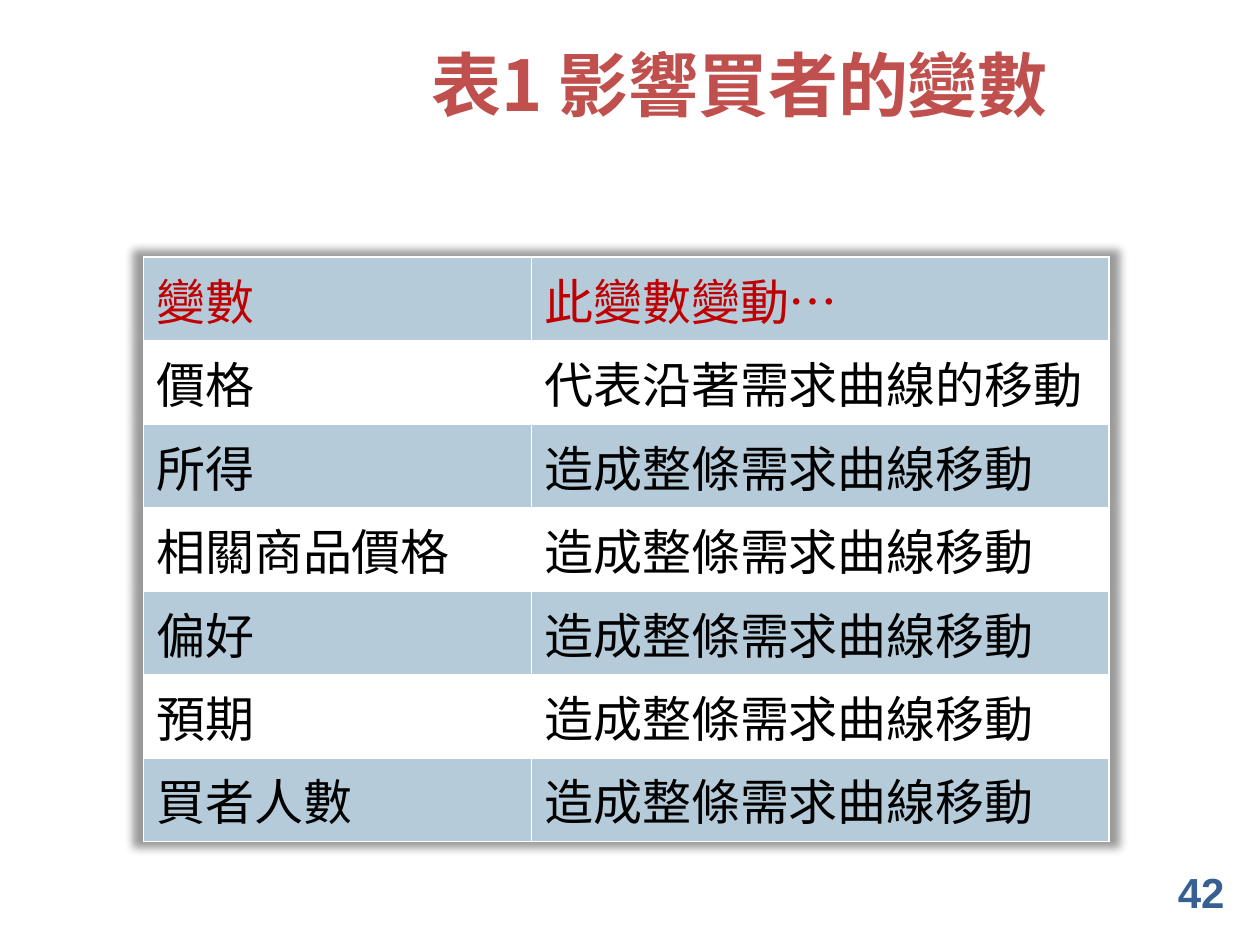
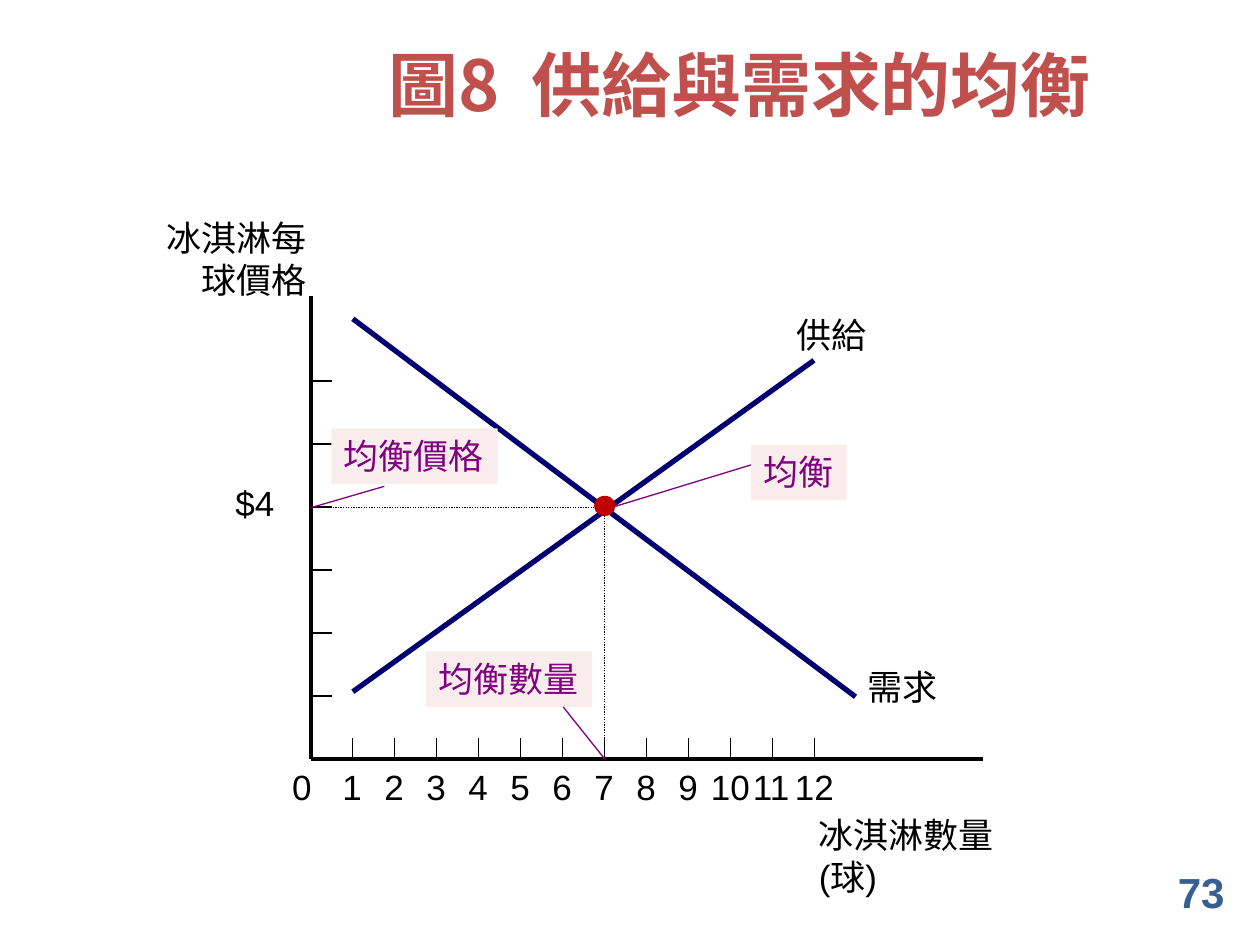
"""Build two slides on demand: a table of buyer variables and a supply-demand diagram."""
from lxml import etree
from pptx import Presentation
from pptx.dml.color import RGBColor
from pptx.enum.dml import MSO_LINE
from pptx.enum.shapes import MSO_CONNECTOR, MSO_SHAPE
from pptx.enum.text import MSO_ANCHOR, PP_ALIGN
from pptx.oxml import parse_xml
from pptx.oxml.ns import nsdecls, qn
from pptx.util import Inches, Pt

STRAIGHT = MSO_CONNECTOR.STRAIGHT
RECT, OVAL = MSO_SHAPE.RECTANGLE, MSO_SHAPE.OVAL
LEFT, CENTER, RIGHT = PP_ALIGN.LEFT, PP_ALIGN.CENTER, PP_ALIGN.RIGHT
TOP, MIDDLE = MSO_ANCHOR.TOP, MSO_ANCHOR.MIDDLE
DOTTED = MSO_LINE.ROUND_DOT

WHITE = RGBColor(0xFF, 0xFF, 0xFF)
BLACK = RGBColor(0x00, 0x00, 0x00)
TITLE_RED = RGBColor(0xC0, 0x50, 0x4D)
NUMBER_BLUE = RGBColor(0x37, 0x60, 0x92)
RED = RGBColor(0xC0, 0x00, 0x00)
BAND_BLUE = RGBColor(0xB5, 0xCB, 0xD9)
NAVY = RGBColor(0x00, 0x00, 0x70)
PURPLE = RGBColor(0x80, 0x00, 0x80)
PINK = RGBColor(0xF8, 0xED, 0xEC)
LATIN, CJK = "Arial", "Noto Sans CJK SC"


def put_text(sp, text, size, color, font=LATIN, bold=False, align=LEFT, anchor=TOP, wrap=True):
    """Write one formatted paragraph into a shape or a table cell."""
    tf = sp.text_frame
    tf.text = text
    tf.word_wrap = wrap
    tf.vertical_anchor = anchor
    p = tf.paragraphs[0]
    p.alignment = align
    r = p.runs[0]
    r.font.size, r.font.bold, r.font.name = Pt(size), bold, font
    r.font.color.rgb = color
    etree.SubElement(r.font._element, qn("a:ea"), typeface=CJK)


def add_line(s, x1, y1, x2, y2, color=BLACK, width=0.75, dash=None):
    """Draw a straight line without a shadow."""
    line = s.shapes.add_connector(STRAIGHT, Inches(x1), Inches(y1), Inches(x2), Inches(y2))
    line.line.color.rgb = color
    line.line.width = Pt(width)
    if dash:
        line.line.dash_style = dash
    etree.SubElement(line._element.spPr, qn("a:effectLst"))


prs = Presentation()
prs.slide_width, prs.slide_height = Inches(10), Inches(7.5)

slides = []
for title, number in [("表1 影響買者的變數", "42"), ("圖8  供給與需求的均衡", "73")]:
    s = prs.slides.add_slide(prs.slide_layouts[6])
    sp = s.shapes.add_textbox(Inches(2.24), Inches(0.04), Inches(7.26), Inches(1.25))
    put_text(sp, title, 40, TITLE_RED, CJK, True, CENTER, MIDDLE)
    sp = s.shapes.add_textbox(Inches(9.25), Inches(6.83), Inches(0.62), Inches(0.5))
    put_text(sp, number, 24, NUMBER_BLUE, bold=True)
    slides.append(s)
table_slide, s = slides

SHIFT = "造成整條需求曲線移動"
rows = [
    ("變數", "此變數變動…"),
    ("價格", "代表沿著需求曲線的移動"),
    ("所得", SHIFT),
    ("相關商品價格", SHIFT),
    ("偏好", SHIFT),
    ("預期", SHIFT),
    ("買者人數", SHIFT),
]
table_height = Inches(4.64)
frame = table_slide.shapes.add_table(len(rows), 2, Inches(1.14), Inches(2.04), Inches(7.67), table_height)
table = frame.table
table.columns[0].width, table.columns[1].width = Inches(3.08), Inches(4.58)
table._tbl.tblPr.insert(0, parse_xml(
    f'<a:effectLst {nsdecls("a")}><a:outerShdw blurRad="63500" algn="ctr" sx="102000" sy="102000" rotWithShape="0">'
    '<a:prstClr val="black"><a:alpha val="40000"/></a:prstClr></a:outerShdw></a:effectLst>'))
for i, row in enumerate(rows):
    table.rows[i].height = table_height // len(rows)
    for j, text in enumerate(row):
        cell = table.cell(i, j)
        put_text(cell, text, 28, BLACK if i else RED, CJK)
        cell.fill.solid()
        cell.fill.fore_color.rgb = WHITE if i % 2 else BAND_BLUE
        for k, side in enumerate(("lnL", "lnR", "lnT", "lnB")):
            cell._tc.tcPr.insert(k, parse_xml(
                f'<a:{side} {nsdecls("a")} w="{Pt(1)}"><a:solidFill><a:srgbClr val="{WHITE}"/></a:solidFill></a:{side}>'))

X0, Y0, STEP = 2.465, 6.025, 1 / 3
EQ_X, EQ_Y = 4.8, 4.03

add_line(s, 2.8, 5.49, 6.46, 2.86, NAVY, 3)
add_line(s, X0, Y0, 7.8, Y0, width=2.25)
add_line(s, X0, 2.35, X0, Y0, width=2.25)
labels = [("供給", 6.22, 2.44, 0.76), ("需求", 6.79, 5.23, 0.76), ("$4", 1.77, 3.77, 0.51), ("0", 2.22, Y0, 0.36)]
for n in range(1, 13):
    x = X0 + n * STEP
    add_line(s, x, Y0 - 0.17, x, Y0)
    width = 0.36 if n < 10 else 0.51
    labels.append((str(n), x - width / 2, Y0, width))
for n in range(1, 7):
    y = Y0 - n * 0.5
    add_line(s, X0, y, X0 + 0.17, y)

for text, x, y, width in labels:
    sp = s.shapes.add_textbox(Inches(x), Inches(y), Inches(width), Inches(0.44))
    put_text(sp, text, 20, BLACK, wrap=False)
for text, x, y, width, align in [("冰淇淋每球價格", 1.14, 1.67, 1.39, RIGHT), ("冰淇淋數量(球)", 6.4, 6.41, 1.63, LEFT)]:
    sp = s.shapes.add_textbox(Inches(x), Inches(y), Inches(width), Inches(0.77))
    put_text(sp, text, 20, BLACK, align=align)

add_line(s, EQ_X, Y0, EQ_X, EQ_Y, dash=DOTTED)
add_line(s, 2.8, 2.53, 6.79, 5.53, NAVY, 3)
add_line(s, EQ_X, EQ_Y, X0, EQ_Y, dash=DOTTED)

dot = s.shapes.add_shape(OVAL, Inches(4.72), Inches(3.94), Inches(0.16), Inches(0.15))
dot.shadow.inherit = False
dot.fill.solid()
dot.fill.fore_color.rgb = RED
dot.line.color.rgb = RED
dot.line.width = Pt(0.75)

callouts = [
    ("均衡", 5.96, 3.53, 0.76, (4.88, 4.02, 5.96, 3.69)),
    ("均衡價格", 2.63, 3.4, 1.32, (X0, EQ_Y, 3.05, 3.86)),
    ("均衡數量", 3.38, 5.17, 1.32, (4.47, 5.61, EQ_X, Y0)),
]
for text, x, y, width, leader in callouts:
    sp = s.shapes.add_shape(RECT, Inches(x), Inches(y), Inches(width), Inches(0.44))
    sp.shadow.inherit = False
    sp.fill.solid()
    sp.fill.fore_color.rgb = PINK
    sp.line.fill.background()
    put_text(sp, text, 20, PURPLE, wrap=False)
    add_line(s, *leader, PURPLE)

prs.save("out.pptx")
